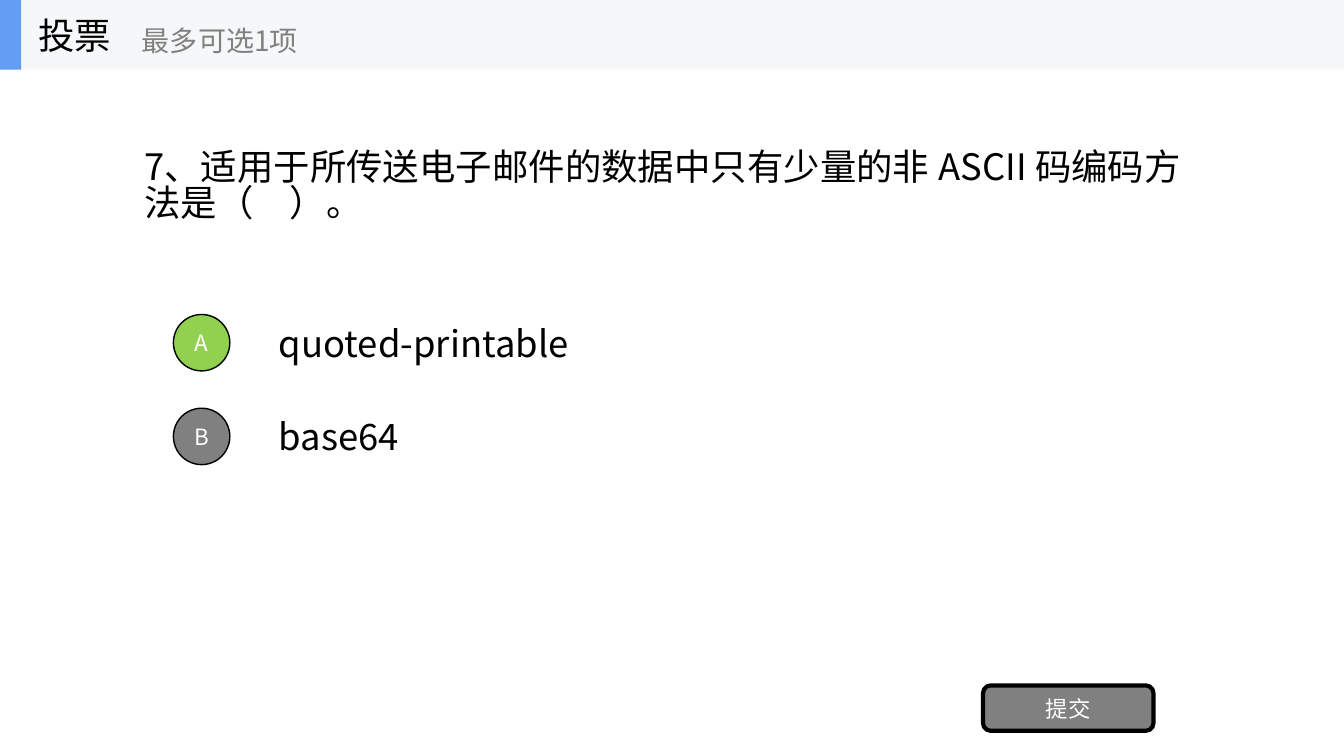
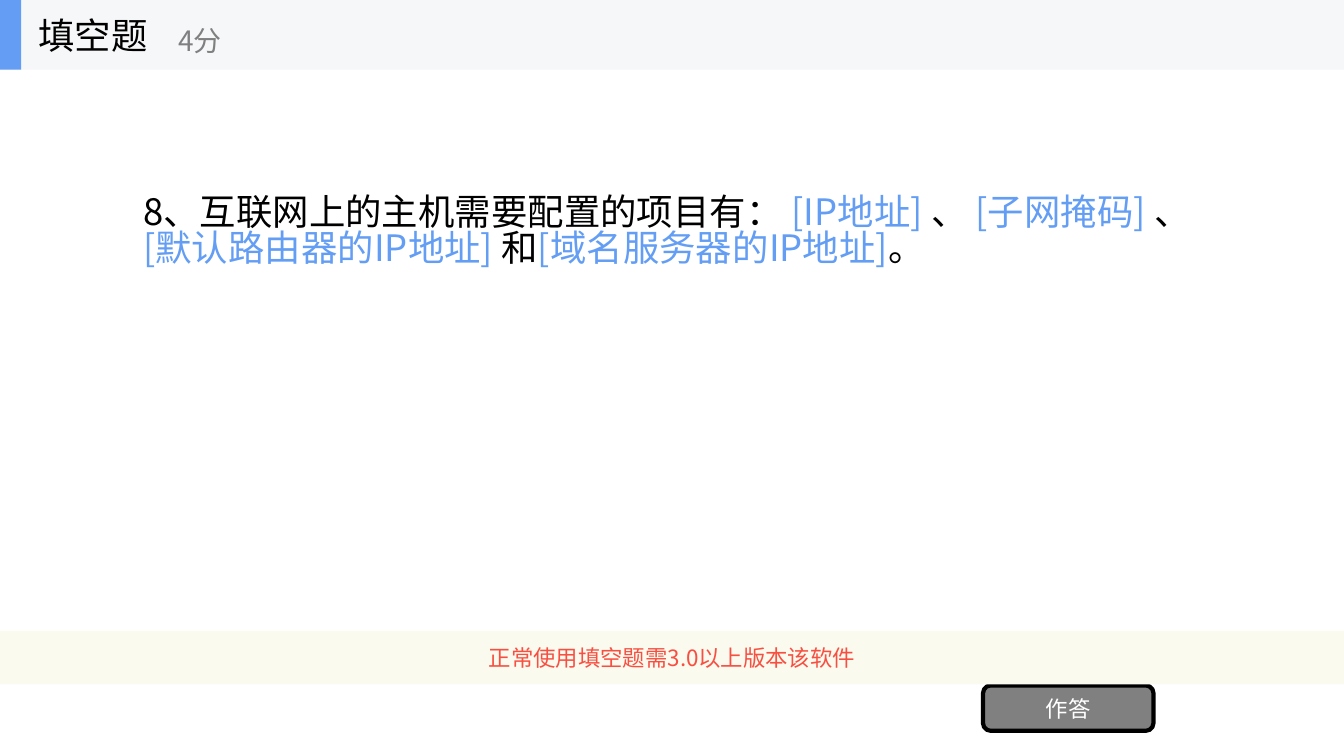
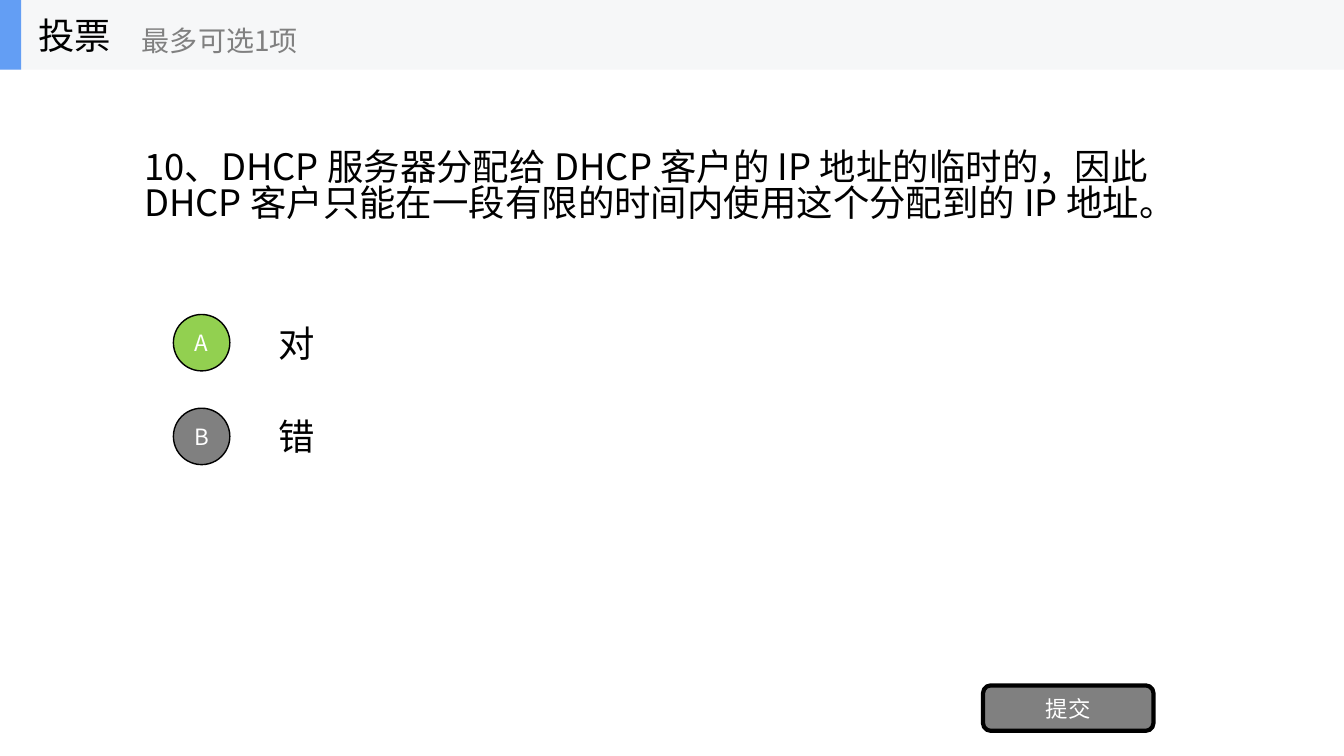
"""Build three classroom quiz slides with a shared header band and answer button."""
import dataclasses
import typing

import lxml.etree
import pptx
import pptx.dml.color
import pptx.enum.shapes
import pptx.enum.text
import pptx.oxml.ns
import pptx.util

Inches = pptx.util.Inches
Pt = pptx.util.Pt
SHAPE = pptx.enum.shapes.MSO_SHAPE
ALIGN = pptx.enum.text.PP_ALIGN
qn = pptx.oxml.ns.qn

WIDTH, HEIGHT = 13.33, 7.5
FONT = "Noto Sans CJK SC"
COLORS = {
    "text": "000000", "muted": "808080", "white": "FFFFFF", "accent": "639EF4",
    "band": "F6F7F8", "right": "92D050", "notice": "FBFAEF", "warning": "F84F41",
}
SIZES = {"large": 26, "medium": 20, "small": 16}
BAND_H = 0.69
QUESTION_W, QUESTION_H = WIDTH * 0.8, 2.34
OPTION_TOP, OPTION_STEP, OPTION_H = 3.05, 0.93, 0.7
BADGE = 0.56


class Box(typing.NamedTuple):
    left: float
    top: float
    width: float
    height: float


class Run(typing.NamedTuple):
    text: str
    color: str = "text"


@dataclasses.dataclass(frozen=True)
class Quiz:
    kind: str
    hint: str
    hint_left: float
    question: tuple[Run, ...]
    button: str
    question_at: tuple[float, float] = (1.33, BAND_H)
    options: tuple[str, ...] = ()
    notice: str = ""


VOTE = {"kind": "投票", "hint": "最多可选1项", "hint_left": 1.31, "button": "提交"}
QUIZZES = (
    Quiz(
        **VOTE,
        question=(Run("7、适用于所传送电子邮件的数据中只有少量的非 ASCII 码编码方法是（　）。"),),
        options=("quoted-printable", "base64"),
    ),
    Quiz(
        kind="填空题", hint="4分", hint_left=1.67, button="作答",
        question=(
            Run("8、互联网上的主机需要配置的项目有： "),
            Run("[IP地址] ", "accent"), Run("、 "),
            Run("[子网掩码] ", "accent"), Run("、 "),
            Run("[默认路由器的IP地址] ", "accent"), Run("和"),
            Run("[域名服务器的IP地址]", "accent"), Run("。"),
        ),
        question_at=(1.32, 1.14),
        notice="正常使用填空题需3.0以上版本该软件",
    ),
    Quiz(
        **VOTE,
        question=(Run("10、DHCP 服务器分配给 DHCP 客户的 IP 地址的临时的，因此 DHCP 客户"
                      "只能在一段有限的时间内使用这个分配到的 IP 地址。"),),
        options=("对", "错"),
    ),
)


def rgb(name: str) -> pptx.dml.color.RGBColor:
    return pptx.dml.color.RGBColor.from_string(COLORS[name])


def place(sp, box: Box) -> None:
    for name, value in box._asdict().items():
        setattr(sp, name, Inches(value))


def write(sp, runs: typing.Iterable[Run], size: str, align=ALIGN.LEFT, spacing: float = 1.0) -> None:
    tf = sp.text_frame
    frame = {"word_wrap": True, "auto_size": pptx.enum.text.MSO_AUTO_SIZE.NONE,
             "vertical_anchor": pptx.enum.text.MSO_ANCHOR.MIDDLE}
    for name, value in frame.items():
        setattr(tf, name, value)
    p = tf.paragraphs[0]
    for name, value in {"alignment": align, "line_spacing": spacing, "space_before": Pt(0)}.items():
        setattr(p, name, value)
    for run in runs:
        r = p.add_run()
        r.text = run.text
        for name, value in {"size": Pt(SIZES[size]), "name": FONT, "bold": False}.items():
            setattr(r.font, name, value)
        r.font.color.rgb = rgb(run.color)
        lxml.etree.SubElement(r.font._element, qn("a:ea"), typeface=FONT)


def add_text(s, box: Box, run: Run, size: str) -> None:
    sp = s.shapes.add_textbox(*map(Inches, box))
    write(sp, (run,), size)


def add_block(s, preset, box: Box, fill: str, line: float = 0, run: Run | None = None):
    sp = s.shapes.add_shape(preset, *map(Inches, box))
    sp.shadow.inherit = False
    sp.fill.solid()
    sp.fill.fore_color.rgb = rgb(fill)
    if line:
        sp.line.color.rgb = rgb("text")
        sp.line.width = Pt(line)
    else:
        sp.line.fill.background()
    if run:
        write(sp, (run,), "small", ALIGN.CENTER)
    return sp


def add_header(s, quiz: Quiz) -> None:
    title = s.shapes.title
    for width, fill in ((WIDTH, "band"), (0.21, "accent")):
        band = add_block(s, SHAPE.RECTANGLE, Box(0, 0, width, BAND_H), fill)
        title.element.addprevious(band.element)
    place(title, Box(0.28, 0, 2.08, BAND_H))
    write(title, (Run(quiz.kind),), "large")
    add_text(s, Box(quiz.hint_left, 0.12, 2.5, 0.56), Run(quiz.hint, "muted"), "medium")


def add_question(s, quiz: Quiz) -> None:
    body = s.placeholders[1]
    place(body, Box(*quiz.question_at, QUESTION_W, QUESTION_H))
    pPr = body.text_frame.paragraphs[0]._p.get_or_add_pPr()
    pPr.set("marL", "0")
    pPr.set("indent", "0")
    lxml.etree.SubElement(pPr, qn("a:buNone"))
    write(body, quiz.question, "large", spacing=0.83)


def add_options(s, options: tuple[str, ...]) -> None:
    for i, (letter, option) in enumerate(zip("ABCD", options)):
        top = OPTION_TOP + i * OPTION_STEP
        badge = Box(1.72, top + (OPTION_H - BADGE) / 2, BADGE, BADGE)
        add_text(s, Box(WIDTH * 0.2, top, WIDTH * 0.7, OPTION_H), Run(option), "large")
        add_block(s, SHAPE.OVAL, badge, "muted" if i else "right", 1, Run(letter, "white"))


def add_quiz(prs, quiz: Quiz) -> None:
    s = prs.slides.add_slide(prs.slide_layouts[1])
    add_header(s, quiz)
    add_question(s, quiz)
    add_options(s, quiz.options)
    add_block(s, SHAPE.ROUNDED_RECTANGLE, Box(9.75, 6.8, 1.69, 0.45), "muted", 3,
              Run(quiz.button, "white"))
    if quiz.notice:
        add_block(s, SHAPE.RECTANGLE, Box(0, 6.26, WIDTH, 0.53), "notice",
                  run=Run(quiz.notice, "warning"))


def main() -> None:
    prs = pptx.Presentation()
    prs.slide_width, prs.slide_height = Inches(WIDTH), Inches(HEIGHT)
    for quiz in QUIZZES:
        add_quiz(prs, quiz)
    prs.save("out.pptx")


if __name__ == "__main__":
    main()
